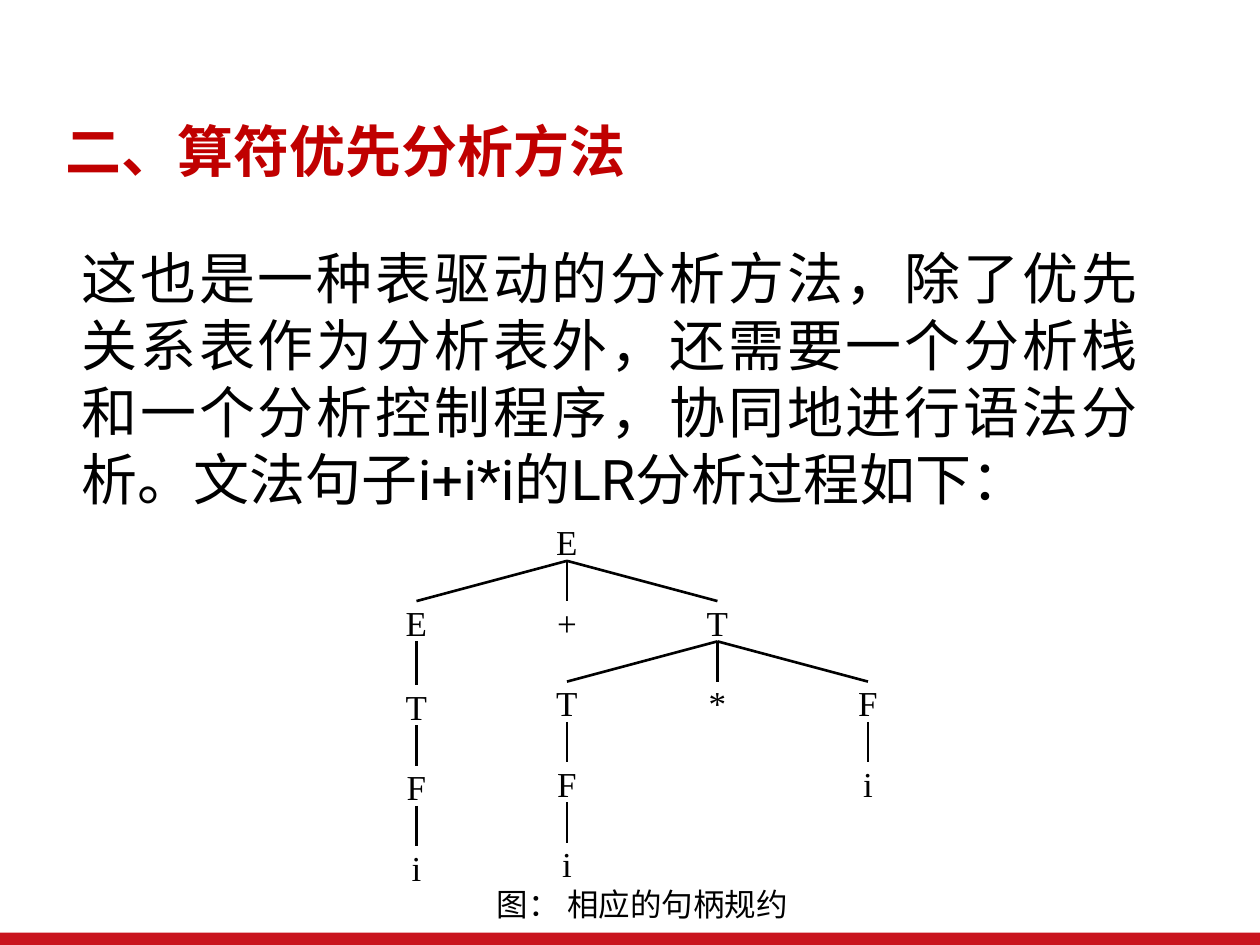
from pptx import Presentation
from pptx.dml.color import RGBColor
from pptx.enum.shapes import MSO_CONNECTOR as Connector, MSO_SHAPE as Shape
from pptx.enum.text import MSO_AUTO_SIZE as AutoSize, MSO_ANCHOR as Anchor, PP_ALIGN as Align
from pptx.oxml.ns import qn
from pptx.util import Pt

TITLE = "二、算符优先分析方法"
BODY = ("这也是一种表驱动的分析方法，除了优先关系表作为分析表外，还需要一个分析栈"
        "和一个分析控制程序，协同地进行语法分析。文法句子i+i*i的LR分析过程如下：")
CAPTION = "图： 相应的句柄规约"

# Parse tree of i+i*i: (symbol, column, children)
TREE = ("E", 1, [
    ("E", 0, [("T", 0, [("F", 0, [("i", 0, [])])])]),
    ("+", 1, []),
    ("T", 2, [
        ("T", 1, [("F", 1, [("i", 1, [])])]),
        ("*", 2, []),
        ("F", 3, [("i", 3, [])]),
    ]),
])
TREE_LEFT, TREE_TOP = 195, 297.5
COLUMN_PITCH, ROW_PITCH, NODE_HEIGHT = 86, 46, 23
LEFT_BRANCH_DROP = 2    # the lower part of the first column hangs slightly deeper
BOTTOM, TOP = 2, 0      # connection sites

SERIF, SANS = "Times New Roman", "Roboto"
BLACK, RED, BAND_RED = "000000", "C00000", "C9151E"


def color(hex_value):
    return RGBColor.from_string(hex_value)


def add_text(page, text, left, top, width, height, size, font=SERIF,
             ink=BLACK, align=Align.CENTER, bold=False, inset=0):
    box = page.shapes.add_textbox(Pt(left), Pt(top), Pt(width), Pt(height))
    frame = box.text_frame
    frame.word_wrap = True
    frame.vertical_anchor = Anchor.TOP
    frame.margin_top = frame.margin_bottom = Pt(inset)
    para = frame.paragraphs[0]
    para.text = text
    para.alignment = align
    para.font.name = font
    para.font.size = Pt(size)
    para.font.bold = bold
    para.font.color.rgb = color(ink)
    return box


def add_branch(page, parent, child):
    line = page.shapes.add_connector(Connector.STRAIGHT, 0, 0, 0, 0)
    line.begin_connect(parent, BOTTOM)
    line.end_connect(child, TOP)
    line.line.color.rgb = color(BLACK)
    line.line.width = Pt(1.5)
    properties = line._element.spPr
    properties.append(properties.makeelement(qn("a:effectLst"), {}))


def add_tree(page, node, row=0):
    """Draw a node with everything below it and return the node's box."""
    symbol, column, children = node
    drop = LEFT_BRANCH_DROP if column == 0 and row > 1 else 0
    box = add_text(page, symbol, TREE_LEFT + column * COLUMN_PITCH,
                   TREE_TOP + row * ROW_PITCH + drop,
                   COLUMN_PITCH, NODE_HEIGHT, 20)
    for child in children:
        add_branch(page, box, add_tree(page, child, row + 1))
    return box


def main():
    deck = Presentation()
    deck.slide_width, deck.slide_height = Pt(720), Pt(540)
    page = deck.slides.add_slide(deck.slide_layouts[6])

    band = page.shapes.add_shape(Shape.RECTANGLE, Pt(0), Pt(533), Pt(720), Pt(7))
    band.shadow.inherit = False
    band.fill.solid()
    band.fill.fore_color.rgb = color(BAND_RED)
    band.line.fill.background()

    title = add_text(page, TITLE, 30.5, 67.5, 659.5, 45.5, 32, ink=RED,
                     align=Align.LEFT, bold=True, inset=3.6)
    title.text_frame.paragraphs[0].line_spacing = 0.9

    body = add_text(page, BODY, 39.5, 135.5, 618, 162.5, 32, font=SANS,
                    align=Align.JUSTIFY, inset=3.6)
    body.text_frame.auto_size = AutoSize.SHAPE_TO_FIT_TEXT

    add_tree(page, TREE)
    add_text(page, CAPTION, TREE_LEFT, 505.5, 4 * COLUMN_PITCH, NODE_HEIGHT, 18)

    deck.save("out.pptx")


if __name__ == "__main__":
    main()
